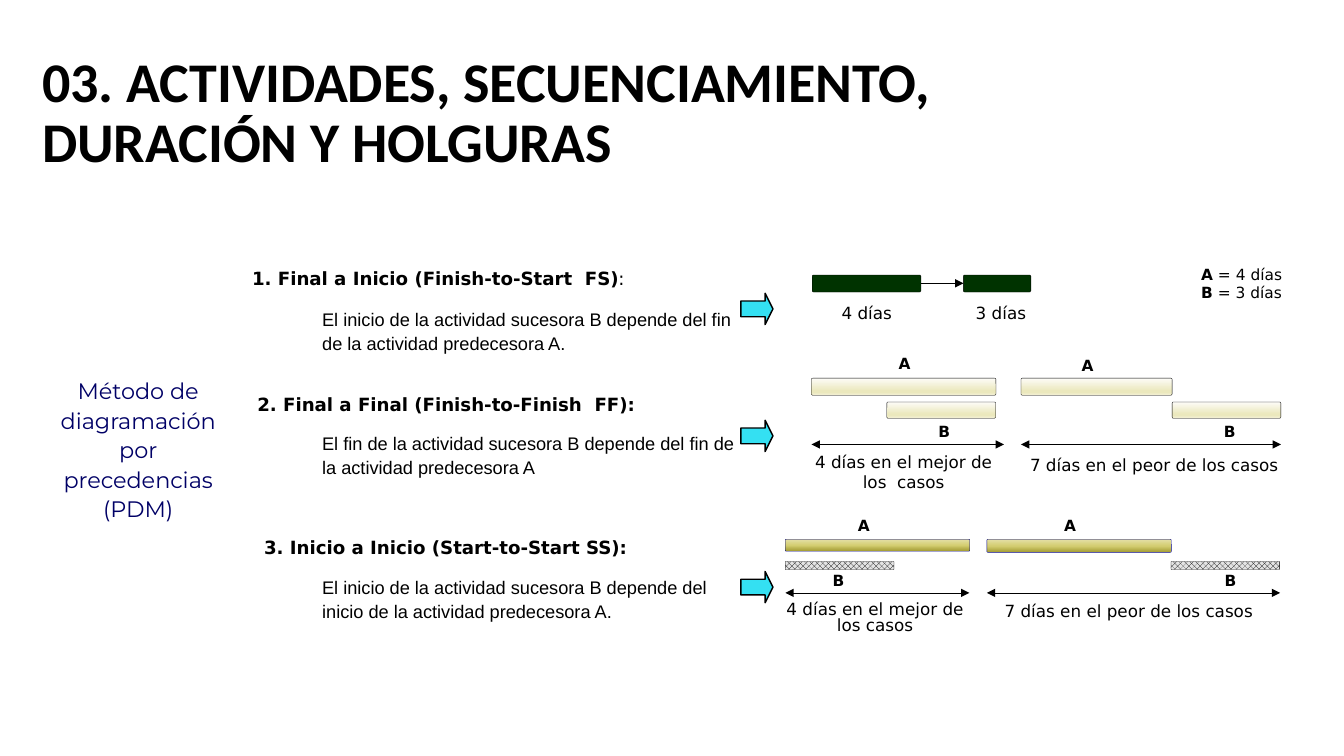
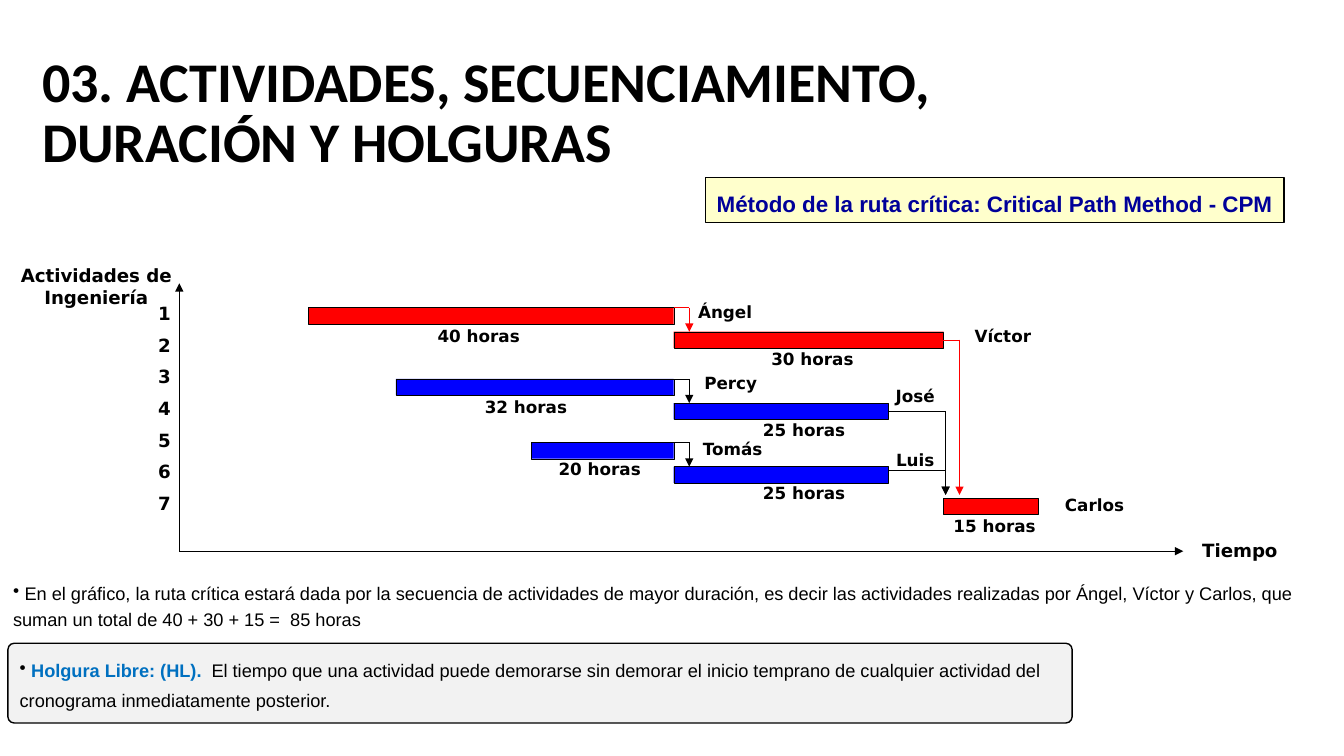
from dataclasses import dataclass, replace
from typing import NamedTuple, Sequence, Union

from lxml import etree
from pptx import Presentation
from pptx import util as u
from pptx.dml.color import RGBColor
from pptx.enum import dml, shapes, text
from pptx.oxml.ns import qn

# Shared look
BLACK, WHITE, RED, BLUE = "000000", "FFFFFF", "FF0000", "0000FF"
CENTER, LEFT = text.PP_ALIGN.CENTER, text.PP_ALIGN.LEFT
TOP, MIDDLE = text.MSO_ANCHOR.TOP, text.MSO_ANCHOR.MIDDLE
RECT = shapes.MSO_SHAPE.RECTANGLE
ROUND = shapes.MSO_SHAPE.ROUNDED_RECTANGLE
HAIRLINE = 0.25
TITLE = "03. ACTIVIDADES, SECUENCIAMIENTO, DURACIÓN Y HOLGURAS"


class Area(NamedTuple):
    """Left, top, width and height in centimetres."""
    left: float
    top: float
    width: float
    height: float


class Span(NamedTuple):
    words: str
    bold: bool = False
    color: str = BLACK


@dataclass(frozen=True)
class TextStyle:
    size: float
    font: str = "DejaVu Sans"
    color: str = BLACK
    bold: bool = False
    align: text.PP_ALIGN = CENTER
    anchor: text.MSO_ANCHOR = TOP
    wrap: bool = True
    spacing: float = 1.0
    before: float = 0
    bullet: bool = False


@dataclass(frozen=True)
class Gradient:
    angle: int
    stops: tuple[tuple[int, str], ...]


@dataclass(frozen=True)
class Pattern:
    kind: dml.MSO_PATTERN_TYPE
    front: str
    back: str


Paint = Union[str, Gradient, Pattern]
Line = Union[str, Sequence[Span]]

TITLE_STYLE = TextStyle(40, "Calibri", bold=True, align=LEFT, anchor=MIDDLE, spacing=0.9)
HEADING = TextStyle(13, bold=True, wrap=False)
BODY = TextStyle(13, "Arial", align=LEFT, spacing=1.1)
CAPTION = TextStyle(12, anchor=MIDDLE, wrap=False)
MARKER = TextStyle(11, bold=True, wrap=False)
TASK_LABEL = TextStyle(12, bold=True)
AXIS_LABEL = TextStyle(13, bold=True, before=7)

CREAM = Gradient(90, ((0, "FDFCF8"), (74, "EBE8BD"), (83, "EBE8BD"), (100, "F2EFD3")))
OLIVE = Gradient(270, ((0, "A39B32"), (48, "D3CD70"), (100, "E4E0A7")))
GREEN = Pattern(dml.MSO_PATTERN_TYPE.DARK_HORIZONTAL, "003300", WHITE)
MESH = Pattern(dml.MSO_PATTERN_TYPE.from_xml("openDmnd"), BLACK, "E3E3E3")


def rgb(value: str) -> RGBColor:
    return RGBColor.from_string(value)


def write(frame, lines: Sequence[Line], style: TextStyle) -> None:
    frame.word_wrap = style.wrap
    frame.auto_size = text.MSO_AUTO_SIZE.NONE
    frame.vertical_anchor = style.anchor
    for index, line in enumerate(lines):
        para = frame.add_paragraph() if index else frame.paragraphs[0]
        para.alignment, para.line_spacing = style.align, style.spacing
        para.space_before = u.Pt(style.before if index else 0)
        if style.bullet:
            etree.SubElement(para._p.get_or_add_pPr(), qn("a:buChar")).set("char", "•")
        para.font.size, para.font.name = u.Pt(style.size), style.font
        if isinstance(line, str):
            para.font.bold, para.font.color.rgb = style.bold, rgb(style.color)
            para.add_run().text = line
            continue
        for span in line:
            run = para.add_run()
            run.text = span.words
            run.font.bold, run.font.color.rgb = span.bold, rgb(span.color)


def add_label(page, area: Area, lines: Sequence[Line], style: TextStyle) -> None:
    box = page.shapes.add_textbox(*map(u.Cm, area))
    write(box.text_frame, lines, style)


def apply_paint(shape, paint: Paint) -> None:
    fill = shape.fill
    if isinstance(paint, str):
        fill.solid()
        fill.fore_color.rgb = rgb(paint)
    elif isinstance(paint, Pattern):
        fill.patterned()
        fill.pattern = paint.kind
        fill.fore_color.rgb, fill.back_color.rgb = rgb(paint.front), rgb(paint.back)
    else:
        fill.gradient()
        grad = shape._element.spPr.find(qn("a:gradFill"))
        stops = grad.find(qn("a:gsLst"))
        for old in list(stops):
            stops.remove(old)
        for position, color in paint.stops:
            stop = etree.SubElement(stops, qn("a:gs"), pos=str(position * 1000))
            etree.SubElement(stop, qn("a:srgbClr"), val=color)
        grad.find(qn("a:lin")).set("ang", str(paint.angle * 60000))


def add_block(page, kind, area: Area, paint: Paint, width: float = HAIRLINE,
              line: str = BLACK, adjust: Sequence[float] = ()):
    shape = page.shapes.add_shape(kind, *map(u.Cm, area))
    shape.shadow.inherit = False
    apply_paint(shape, paint)
    shape.line.color.rgb, shape.line.width = rgb(line), u.Pt(width)
    for index, value in enumerate(adjust):
        shape.adjustments[index] = value
    return shape


def add_line(page, x1: float, y1: float, x2: float, y2: float, color: str = BLACK,
             ends: Sequence[str] = ()) -> None:
    """Draw a thin line; ends lists headEnd and/or tailEnd."""
    line = page.shapes.add_connector(shapes.MSO_CONNECTOR.STRAIGHT,
                                     *map(u.Cm, (x1, y1, x2, y2)))
    line.line.color.rgb, line.line.width = rgb(color), u.Pt(HAIRLINE)
    for end in ends:
        etree.SubElement(line.line._get_or_add_ln(), qn(f"a:{end}"), type="triangle")
    etree.SubElement(line._element.spPr, qn("a:effectLst"))


def new_page(deck):
    page = deck.slides.add_slide(deck.slide_layouts[5])
    title = page.shapes.title
    title.left, title.top, title.width, title.height = map(u.Cm, (0.81, 1.04, 25.22, 3.68))
    write(title.text_frame, [TITLE], TITLE_STYLE)
    return page


# Slide 1: precedence relations
class Relation(NamedTuple):
    heading: Line
    heading_area: Area
    body: str
    body_top: float
    body_width: float
    arrow_top: float


RELATIONS = (
    Relation((Span("1. Final a Inicio (Finish-to-Start  FS)", True), Span(":")),
             Area(5.99, 6.6, 10.11, 0.81),
             "El inicio de la actividad sucesora B depende del fin de la actividad predecesora A.",
             7.59, 11, 7.39),
    Relation("2. Final a Final (Finish-to-Finish  FF):", Area(6.2, 9.78, 10.08, 0.81),
             "El fin de la actividad sucesora B depende del fin de la actividad predecesora A",
             10.72, 11.2, 10.59),
    Relation("3. Inicio a Inicio (Start-to-Start SS):", Area(6.27, 13.39, 9.91, 0.81),
             "El inicio de la actividad sucesora B depende del inicio de la actividad predecesora A.",
             14.33, 10.41, 14.4),
)
BARS = (
    (GREEN, BLACK, (Area(20.47, 6.93, 2.74, 0.43), Area(24.28, 6.93, 1.7, 0.43))),
    (CREAM, BLACK, (Area(20.45, 9.53, 4.65, 0.43), Area(22.35, 10.13, 2.74, 0.41),
                    Area(25.73, 9.53, 3.81, 0.43), Area(29.54, 10.13, 2.74, 0.41))),
    (OLIVE, "000080", (Area(19.79, 13.59, 4.65, 0.3), Area(24.87, 13.59, 4.65, 0.33))),
    (MESH, BLACK, (Area(19.79, 14.15, 2.74, 0.2), Area(29.51, 14.15, 2.74, 0.2))),
)
# Start, end and height of each measured duration
DURATIONS = ((20.45, 25.3, 11.2), (25.73, 32.28, 11.2),
             (19.79, 24.43, 14.94), (24.87, 32.26, 14.94))
WORST = ("7 días en el peor de los casos",)
CAPTIONS = (
    (Area(21.11, 7.57, 1.47, 0.64), ("4 días",), 1.0),
    (Area(24.49, 7.57, 1.47, 0.64), ("3 días",), 1.0),
    (Area(20.02, 11.35, 5.51, 1.07), ("4 días en el mejor de", "los  casos"), 1.0),
    (Area(25.7, 11.4, 6.78, 0.64), WORST, 1.0),
    (Area(19.3, 15.06, 5.51, 1.07), ("4 días en el mejor de", "los casos"), 0.8),
    (Area(24.64, 15.06, 7.62, 0.64), WORST, 1.0),
)
# Centre and top of each activity letter
MARKERS = {
    "A": ((22.8, 8.81), (27.41, 8.84), (21.77, 12.88), (26.97, 12.88)),
    "B": ((23.8, 10.52), (30.99, 10.52), (21.13, 14.27), (31.01, 14.27)),
}


def build_precedence(deck) -> None:
    page = new_page(deck)
    add_label(page, Area(0.97, 7.8, 5.03, 7.01),
              ["Método de diagramación por precedencias (PDM)"],
              TextStyle(16, "Montserrat", "000066", anchor=MIDDLE, spacing=1.1))
    for item in RELATIONS:
        add_label(page, item.heading_area, [item.heading], HEADING)
        add_label(page, Area(7.87, item.body_top, item.body_width, 1.47), [item.body], BODY)
        add_block(page, shapes.MSO_SHAPE.RIGHT_ARROW, Area(18.67, item.arrow_top, 0.81, 0.79),
                  "34E0F2", 1, adjust=(0.5, 0.25))
    # Bars and their durations
    for paint, line, areas in BARS:
        for area in areas:
            add_block(page, ROUND, area, paint, line=line, adjust=(0.08,))
    add_line(page, 23.21, 7.14, 24.28, 7.14, ends=("tailEnd",))
    for start, end, y in DURATIONS:
        add_line(page, start, y, end, y, ends=("headEnd", "tailEnd"))
    for area, lines, spacing in CAPTIONS:
        add_label(page, area, lines, replace(CAPTION, spacing=spacing))
    for letter, places in MARKERS.items():
        for center, top in places:
            add_label(page, Area(center - 0.4, top, 0.8, 0.71), [letter], MARKER)
    # Legend
    legend = [(Span("A", True), Span(" = 4 días")), (Span("B", True), Span(" = 3 días"))]
    add_label(page, Area(30.02, 6.55, 2.57, 1.19), legend, replace(MARKER, align=LEFT))


# Slide 2: critical path
class Task(NamedTuple):
    owner: str
    hours: int
    color: str
    left: float
    top: float
    width: float
    hours_at: tuple[float, float]
    owner_at: tuple[float, float]


class Link(NamedTuple):
    x: float
    y: float
    end_x: float
    end_y: float
    color: str = BLACK


TASKS = (
    Task("Ángel", 40, RED, 7.77, 7.75, 9.21, (10.77, 8.08), (16.98, 7.47)),
    Task("Víctor", 30, RED, 16.98, 8.36, 6.8, (19.18, 8.66), (23.98, 8.08)),
    Task("Percy", 32, BLUE, 9.98, 9.55, 7, (11.96, 9.88), (17.12, 9.27)),
    Task("José", 25, BLUE, 16.98, 10.16, 5.41, (18.97, 10.44), (21.77, 9.6)),
    Task("Tomás", 20, BLUE, 13.39, 11.15, 3.59, (13.82, 11.43), (17.17, 10.92)),
    Task("Luis", 25, BLUE, 16.98, 11.76, 5.41, (18.97, 12.04), (21.77, 11.2)),
    Task("Carlos", 15, RED, 23.77, 12.55, 2.4, (23.77, 12.88), (26.29, 12.34)),
)
LINKS = (
    Link(16.98, 7.75, 17.37, 8.36, RED), Link(16.98, 9.55, 17.37, 10.16),
    Link(16.98, 11.15, 17.37, 11.76), Link(22.39, 11.86, 23.83, 12.47),
    Link(22.39, 10.36, 23.83, 12.47), Link(23.77, 8.56, 24.18, 12.47, RED),
)


def add_task(page, task: Task) -> None:
    add_block(page, RECT, Area(task.left, task.top, task.width, 0.41), task.color)
    for place, words in ((task.hours_at, f"{task.hours} horas"), (task.owner_at, task.owner)):
        add_label(page, Area(*place, 2.59, 0.76), [words], TASK_LABEL)


def add_link(page, link: Link) -> None:
    add_line(page, link.x, link.y, link.end_x, link.y, link.color)
    add_line(page, link.end_x, link.y, link.end_x, link.end_y, link.color, ("tailEnd",))


def build_critical_path(deck) -> None:
    page = new_page(deck)
    banner = add_block(page, RECT, Area(17.78, 4.47, 14.58, 1.14), "FFFFCC", 0.75)
    write(banner.text_frame, ["Método de la ruta crítica: Critical Path Method - CPM"],
          TextStyle(16, "Arial", "000099", True, wrap=False, spacing=1.3))
    # Axes
    add_line(page, 4.52, 13.89, 4.52, 7.14, ends=("tailEnd",))
    add_line(page, 4.52, 13.89, 29.82, 13.89, ends=("tailEnd",))
    add_label(page, Area(29.95, 13.46, 2.59, 0.81), ["Tiempo"], AXIS_LABEL)
    add_label(page, Area(0, 6.53, 4.85, 1.37), ["Actividades de Ingeniería"], AXIS_LABEL)
    add_label(page, Area(3.51, 7.49, 1.27, 5.82),
              [str(number + 1) for number in range(len(TASKS))], AXIS_LABEL)
    # Schedule
    for task in TASKS:
        add_task(page, task)
    for link in LINKS:
        add_link(page, link)
    # Conclusions
    note = replace(BODY, spacing=1.2, bullet=True)
    add_label(page, Area(0.08, 14.43, 33.4, 1.57),
              [" En el gráfico, la ruta crítica estará dada por la secuencia de actividades de "
               "mayor duración, es decir las actividades realizadas por Ángel, Víctor y Carlos, "
               "que suman un total de 40 + 30 + 15 =  85 horas"], note)
    callout = add_block(page, ROUND, Area(0.2, 16.21, 26.82, 2.01), "F2F2F2", 1, adjust=(0.08,))
    slack = (Span(" "), Span("Holgura Libre: (HL).  ", True, "0070C0"),
             Span("El tiempo que una actividad puede demorarse sin demorar el inicio temprano "
                  "de cualquier actividad del cronograma inmediatamente posterior."))
    write(callout.text_frame, [slack], replace(note, spacing=1.4))


def main() -> None:
    deck = Presentation()
    deck.slide_width, deck.slide_height = u.Cm(33.87), u.Cm(19.05)
    build_precedence(deck)
    build_critical_path(deck)
    deck.save("out.pptx")


if __name__ == "__main__":
    main()
